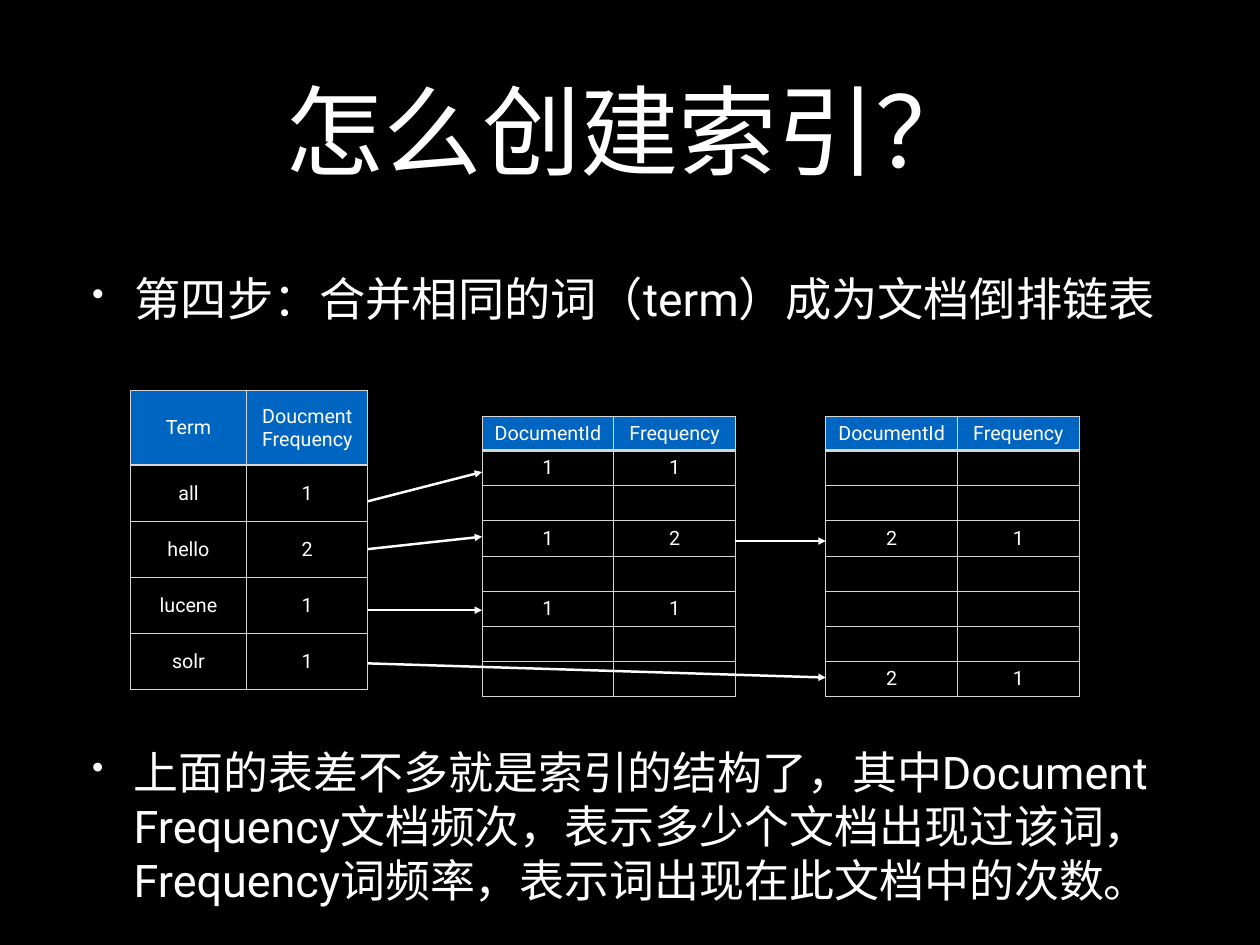
from lxml import etree
from pptx import Presentation, util as u
from pptx.dml.color import RGBColor
from pptx.enum import shapes, text
from pptx.oxml import ns

WIDE, HIGH = 14.22, 10.67
FONT, WHITE, BLUE, GREY = "Roboto", "FFFFFF", "0065C1", "D6D6D6"
PAD = u.Inches(0.06)


def hue(code):
    return RGBColor.from_string(code)


def across(share):
    """Length for a percentage of the slide's width."""
    return u.Inches(WIDE * share / 100)


def down(share):
    """Length for a percentage of the slide's height."""
    return u.Inches(HIGH * share / 100)


def place(box):
    x, y, w, h = box
    return across(x), down(y), across(w), down(h)


def sub(node, tag, **attrs):
    return etree.SubElement(node, ns.qn(tag), **attrs)


def add_run(para, words, size):
    run = para.add_run()
    run.text = words
    run.font.size = u.Pt(size)
    run.font.name = FONT
    run.font.color.rgb = hue(WHITE)
    sub(run.font._element, "a:ea", typeface=FONT)


def add_text(slide, box, words, size, indent=0):
    frame = slide.shapes.add_textbox(*place(box)).text_frame
    frame.word_wrap = True
    frame.vertical_anchor = text.MSO_ANCHOR.MIDDLE
    frame.margin_left = frame.margin_right = 0
    frame.margin_top = frame.margin_bottom = 0
    para = frame.paragraphs[0]
    if indent:
        props = para._p.get_or_add_pPr()
        props.set("marL", str(u.Inches(indent)))
        props.set("indent", str(-u.Inches(indent)))
        sub(props, "a:buSzPct", val="75000")
        sub(props, "a:buChar", char="•")
    else:
        para.alignment = text.PP_ALIGN.CENTER
    add_run(para, words, size)


def frame_cell(cell, head):
    """Rule all four sides, with a thicker line below the header."""
    props = cell._tc.get_or_add_tcPr()
    for spot, side in enumerate(("L", "R", "T", "B")):
        width = 2 if head and side == "B" else 1
        line = etree.Element(ns.qn("a:ln" + side), w=str(u.Pt(width)))
        sub(sub(line, "a:solidFill"), "a:srgbClr", val=GREY)
        props.insert(spot, line)


def fill_cell(cell, words, head):
    cell.vertical_anchor = text.MSO_ANCHOR.MIDDLE
    cell.margin_left = cell.margin_right = PAD
    cell.margin_top = cell.margin_bottom = PAD if words else 0
    if head:
        cell.fill.solid()
        cell.fill.fore_color.rgb = hue(BLUE)
    else:
        cell.fill.background()
    frame_cell(cell, head)
    para = cell.text_frame.paragraphs[0]
    para.alignment = text.PP_ALIGN.CENTER
    for spot, line in enumerate(words.split("\n") if words else []):
        if spot:
            para.add_line_break()
        add_run(para, line, 16)


def add_grid(slide, box, rows, first, top):
    """first: share of the left column; top: share of the header row."""
    x, y, w, h = place(box)
    table = slide.shapes.add_table(len(rows), 2, x, y, w, h).table
    table.first_row = table.horz_banding = False
    table.columns[0].width = int(w * first)
    table.columns[1].width = int(w * (1 - first))
    for r, row in enumerate(rows):
        share = (1 - top) / (len(rows) - 1) if r else top
        table.rows[r].height = int(h * share)
        for c, words in enumerate(row):
            fill_cell(table.cell(r, c), words, r == 0)


def add_arrow(slide, x1, y1, x2, y2):
    link = slide.shapes.add_connector(
        shapes.MSO_CONNECTOR.STRAIGHT,
        across(x1), down(y1), across(x2), down(y2))
    link.line.width = u.Pt(2)
    link.line.color.rgb = hue(WHITE)
    sub(link.line._get_or_add_ln(), "a:tailEnd", type="triangle")
    sub(link._element.spPr, "a:effectLst")


def add_index(slide):
    """Term table, two posting tables and the links between them."""
    left, mid, right = 10.34, 38.26, 65.54
    term_w, post_w = 18.85, 20.11
    terms = [("Term", "Doucment\nFrequency"), ("all", "1"), ("hello", "2"),
             ("lucene", "1"), ("solr", "1")]
    add_grid(slide, (left, 41.33, term_w, 31.68), terms, 0.49, 0.25)

    # Posting tables: filled rows by number, all others empty
    posts = [(mid, {1: ("1", "1"), 3: ("1", "2"), 5: ("1", "1")}),
             (right, {3: ("2", "1"), 7: ("2", "1")})]
    for x, filled in posts:
        rows = [("DocumentId", "Frequency")]
        rows += [filled.get(r, ("", "")) for r in range(1, 8)]
        add_grid(slide, (x, 44.05, post_w, 29.62), rows, 0.52, 0.12)

    # Links
    edge = left + term_w
    for x1, y1, x2, y2 in [(edge, 53.05, mid, 49.95),
                           (edge, 58.11, mid, 56.79),
                           (edge, 64.57, mid, 64.57),
                           (edge, 70.2, right, 71.7),
                           (mid + post_w, 57.26, right, 57.26)]:
        add_arrow(slide, x1, y1, x2, y2)


def main():
    deck = Presentation()
    deck.slide_width, deck.slide_height = across(100), down(100)
    slide = deck.slides.add_slide(deck.slide_layouts[6])
    slide.background.fill.solid()
    slide.background.fill.fore_color.rgb = hue("000000")

    # Title and step
    x, w = 7.31, 85.37
    add_text(slide, (x, 2.62, w, 22.12), "怎么创建索引？", 80)
    add_text(slide, (x, 26.52, w, 10.03),
             "第四步：合并相同的词（term）成为文档倒排链表", 37.6, 0.48)

    add_index(slide)

    # Explanation
    add_text(slide, (x, 77.88, w, 19.03),
             "上面的表差不多就是索引的结构了，其中Document Frequency文档频次，"
             "表示多少个文档出现过该词，Frequency词频率，"
             "表示词出现在此文档中的次数。", 36.5, 0.47)
    deck.save("out.pptx")


if __name__ == "__main__":
    main()
